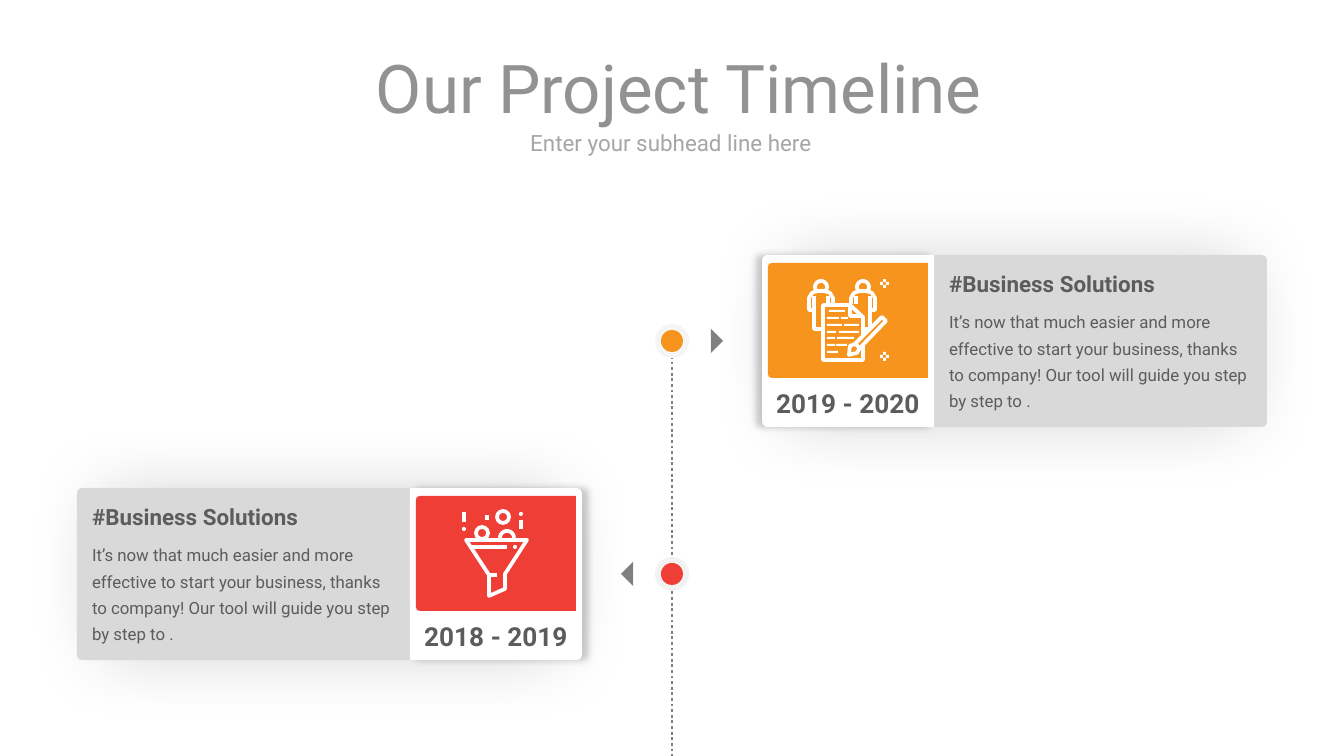
import dataclasses
import math
import typing

import lxml.etree
import pptx
import pptx.dml.color
import pptx.enum.dml
import pptx.enum.shapes
import pptx.enum.text
import pptx.oxml.ns
import pptx.util

SCALE = 914400 / 134.4
AXIS = 672
WHITE, GREY, INK, PANEL = "FFFFFF", "808080", "5C5C5C", "D9D9D9"
KIND = pptx.enum.shapes.MSO_SHAPE
ALIGN = pptx.enum.text.PP_ALIGN
ANCHOR = pptx.enum.text.MSO_ANCHOR
FIT = pptx.enum.text.MSO_AUTO_SIZE
HEAD = "#Business Solutions"
BODY = ("It’s now that much easier and more effective to start your business, "
        "thanks to company! Our tool will guide you step by step to .")
Point = tuple[float, float]


@dataclasses.dataclass(frozen=True)
class Card:
    left: int
    top: int
    tab: int
    note: int
    arrow: int
    turn: int
    years: str
    color: str
    halo: str
    icon: typing.Callable


@dataclasses.dataclass(frozen=True)
class Style:
    size: int
    color: str
    bold: bool = False
    align: typing.Any = ALIGN.LEFT
    anchor: typing.Any = ANCHOR.TOP
    space: float = 1.0
    fit: typing.Any = FIT.SHAPE_TO_FIT_TEXT


def px(size: float) -> int:
    return round(size * SCALE)


def rgb(code: str) -> pptx.dml.color.RGBColor:
    return pptx.dml.color.RGBColor.from_string(code)


def paint(shape, fill: str | None, line: str | None = None) -> None:
    shape.shadow.inherit = False
    if fill:
        shape.fill.solid()
        shape.fill.fore_color.rgb = rgb(fill)
    else:
        shape.fill.background()
    if line:
        shape.line.color.rgb = rgb(line)
        shape.line.width = pptx.util.Pt(2)
    else:
        shape.line.fill.background()


def block(shapes, kind, x: float, y: float, w: float, h: float,
          fill: str | None, line: str | None = None):
    shape = shapes.add_shape(kind, px(x), px(y), px(w), px(h))
    paint(shape, fill, line)
    return shape


def trace(shapes, points: list[Point], fill: str | None = None,
          line: str | None = WHITE, close: bool = False) -> None:
    spots = [(px(x), px(y)) for x, y in points]
    pen = shapes.build_freeform(*spots[0], scale=1.0)
    pen.add_line_segments(spots[1:], close=close)
    paint(pen.convert_to_shape(), fill, line)


def disc(shapes, x: float, y: float, r: float,
         fill: str | None, line: str | None = None):
    return block(shapes, KIND.OVAL, x - r, y - r, 2 * r, 2 * r, fill, line)


def arc(x: float, y: float, r: float, start: int, stop: int) -> list[Point]:
    turns = [math.radians(a) for a in range(start, stop + 1, 15)]
    return [(x + r * math.cos(a), y + r * math.sin(a)) for a in turns]


def shade(shape, blur: int, far: int, angle: int, zoom: int) -> None:
    qn = pptx.oxml.ns.qn
    glow = lxml.etree.SubElement(
        shape._element.spPr.find(qn("a:effectLst")), qn("a:outerShdw"),
        blurRad=str(blur * 12700), dist=str(far * 12700),
        dir=str(angle * 60000), sx=str(zoom * 1000), sy=str(zoom * 1000),
        algn="ctr", rotWithShape="0")
    tint = lxml.etree.SubElement(glow, qn("a:srgbClr"), val="000000")
    lxml.etree.SubElement(tint, qn("a:alpha"), val="20000")


def write(shape, text: str, style: Style) -> None:
    frame = shape.text_frame
    frame.text = text
    frame.word_wrap = True
    frame.auto_size = style.fit
    frame.vertical_anchor = style.anchor
    frame.margin_left = frame.margin_right = 0
    frame.margin_top = frame.margin_bottom = 0
    para = frame.paragraphs[0]
    para.alignment = style.align
    para.line_spacing = style.space
    font = para.runs[0].font
    font.name, font.size = "Roboto", pptx.util.Pt(style.size)
    font.bold, font.color.rgb = style.bold, rgb(style.color)


def label(shapes, x: int, y: int, w: int, h: int, text: str, style: Style) -> None:
    write(shapes.add_textbox(px(x), px(y), px(w), px(h)), text, style)


def team(shapes, color: str) -> None:
    for x, side in ((821, 1), (863, -1)):
        trace(shapes, arc(x, 287, 6, 120, 420))
        coat = [(1, 329), (-7, 329), (-7, 310), (-12, 310), (-12, 298),
                (-9, 293), (-4, 291), (4, 291), (9, 293), (12, 298), (12, 304)]
        trace(shapes, [(x + side * dx, y) for dx, y in coat])
        for dx, end in ((-7, 310), (7, 304)):
            trace(shapes, [(x + side * dx, 296), (x + side * dx, end)])
    trace(shapes, [(823, 305), (850, 305), (863, 317), (863, 360), (823, 360)],
          color, close=True)
    trace(shapes, [(850, 305), (850, 316), (862, 316)])
    bars = [(829, 310, 16), (827, 317, 12), (841, 317, 7), (827, 324, 15),
            (844, 324, 15), (827, 331, 9), (839, 331, 20), (827, 337, 8),
            (837, 337, 17), (827, 344, 8), (836, 344, 11), (827, 351, 11)]
    for x, y, w in bars:
        block(shapes, KIND.RECTANGLE, x, y, w, 2, WHITE)
    trace(shapes, [(855, 344), (882, 317), (886, 321), (859, 349)],
          color, close=True)
    trace(shapes, [(855, 344), (850, 346), (849, 355), (857, 353), (860, 348)],
          color, close=True)
    for y in (282, 355):
        for dx, dy in ((0, -3), (0, 3), (-3, 0), (3, 0)):
            block(shapes, KIND.RECTANGLE, 883 + dx, y + dy, 3, 3, WHITE)


def funnel(shapes, color: str) -> None:
    disc(shapes, 503, 517, 6, None, WHITE)
    disc(shapes, 482, 533, 6, None, WHITE)
    trace(shapes, arc(507, 538, 7, 180, 360))
    trace(shapes, [(466, 540), (527, 540), (505, 574), (505, 589),
                   (489, 596), (489, 575)], color, close=True)
    for x, y, end, low in ((489, 575, 497, 575), (471, 547, 507, 547),
                           (464, 512, 464, 522), (487, 515, 487, 520),
                           (521, 520, 521, 529)):
        trace(shapes, [(x, y), (end, low)])
    for x, y in ((515, 547), (464, 529), (521, 514)):
        disc(shapes, x, y, 2, WHITE)


def draw(shapes, card: Card) -> None:
    top, tab = card.top, card.tab
    panel = block(shapes, KIND.ROUNDED_RECTANGLE, card.left, top, 505, 172, PANEL)
    panel.adjustments[0] = 0.03
    shade(panel, 40, 0, 0, 90)
    sheet = block(shapes, KIND.ROUND_2_SAME_RECTANGLE, tab, top, 172, 172, WHITE)
    sheet.adjustments[0] = 0.03
    sheet.rotation = 270 - card.turn
    shade(sheet, 4, 3, 180 - card.turn, 100)
    x, y = tab + 6, top + 8
    trace(shapes, [(x + 4, y), (x + 160, y), (x + 160, y + 115), (x + 4, y + 115),
                   (x + 1, y + 114), (x, y + 111), (x, y + 4), (x + 1, y + 1)],
          card.color, None, True)
    card.icon(shapes.add_group_shape().shapes, card.color)
    label(shapes, x, top + 132, 160, 32, card.years,
          Style(14, INK, True, ALIGN.CENTER, ANCHOR.MIDDLE))
    label(shapes, card.note, top + 15, 302, 27, HEAD, Style(12, INK, True))
    label(shapes, card.note, top + 51, 302, 106, BODY, Style(9, INK, space=1.3))
    disc(shapes, AXIS, top + 86, 17, card.halo)
    disc(shapes, AXIS, top + 86, 11, card.color)
    arrow = block(shapes, KIND.PENTAGON, card.arrow, top + 74, 12, 24, GREY)
    arrow.adjustments[0] = 1
    arrow.rotation = card.turn


def main() -> None:
    deck = pptx.Presentation()
    deck.slide_width, deck.slide_height = px(1344), px(756)
    slide = deck.slides.add_slide(deck.slide_layouts[5])
    shapes = slide.shapes
    title = shapes.title
    title.left, title.top, title.width, title.height = map(px, (64, 50, 1230, 73))
    mid = dict(align=ALIGN.CENTER, anchor=ANCHOR.MIDDLE, fit=FIT.NONE)
    write(title, "Our Project Timeline", Style(36, "929292", **mid))
    label(shapes, 56, 130, 1230, 26, "Enter your subhead line here",
          Style(12, "A6A6A6", **mid))
    wire = shapes.add_connector(pptx.enum.shapes.MSO_CONNECTOR.STRAIGHT,
                                px(AXIS), px(356), px(AXIS), px(756))
    wire.line.color.rgb = rgb(GREY)
    wire.line.width = pptx.util.Pt(1.5)
    wire.line.dash_style = pptx.enum.dml.MSO_LINE.ROUND_DOT
    lxml.etree.SubElement(wire._element.spPr, pptx.oxml.ns.qn("a:effectLst"))
    cards = [
        Card(762, 255, 762, 949, 711, 0, "2019 - 2020", "F7941D", "F5F5F5", team),
        Card(77, 488, 410, 92, 621, 180, "2018 - 2019", "EF3E36", "F2F2F2", funnel),
    ]
    for card in cards:
        draw(shapes, card)
    deck.save("out.pptx")


if __name__ == "__main__":
    main()
